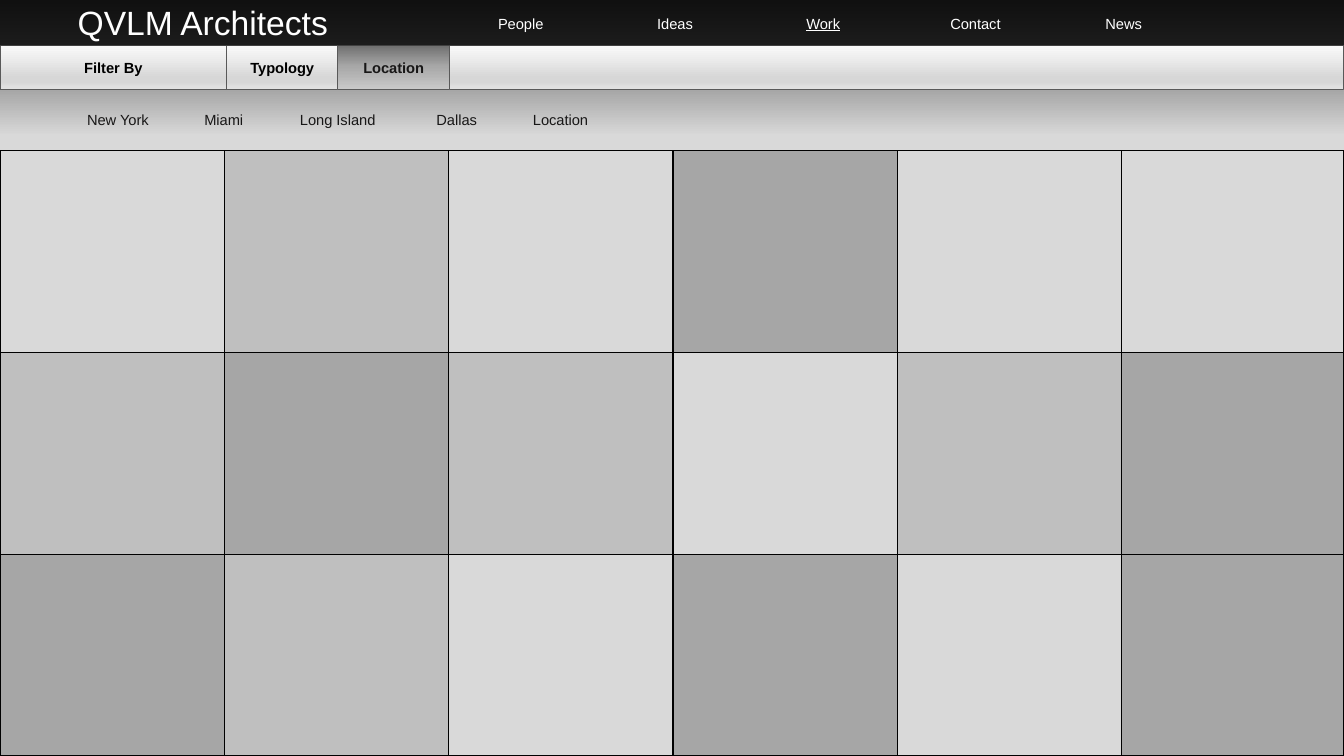
from lxml.etree import SubElement
from pptx import Presentation
from pptx.dml.color import RGBColor
from pptx.enum.shapes import MSO_SHAPE as Preset
from pptx.enum.text import MSO_ANCHOR as Anchor, MSO_AUTO_SIZE as AutoSize, PP_ALIGN as Align
from pptx.oxml.ns import qn
from pptx.util import Inches, Pt

BLACK = RGBColor(0x00, 0x00, 0x00)
INK = RGBColor(0x18, 0x17, 0x17)
WHITE = RGBColor(0xFF, 0xFF, 0xFF)
LIGHT = RGBColor(0xD9, 0xD9, 0xD9)
MIDDLE = RGBColor(0xBF, 0xBF, 0xBF)
DARK = RGBColor(0xA6, 0xA6, 0xA6)
BORDER = RGBColor(0x59, 0x59, 0x59)

PAGE = [(0, RGBColor(0x40, 0x40, 0x40)), (18, LIGHT), (100, WHITE)]
TAB = [(0, RGBColor(0xFA, 0xFA, 0xFA)), (74, RGBColor(0xD7, 0xD7, 0xD7)),
       (83, RGBColor(0xD7, 0xD7, 0xD7)), (100, RGBColor(0xE4, 0xE4, 0xE4))]
ACTIVE_TAB = [(0, RGBColor(0x6F, 0x6F, 0x6F)), (48, RGBColor(0xA8, 0xA8, 0xA8)),
              (100, RGBColor(0xC9, 0xC9, 0xC9))]

SLIDE_WIDTH, SLIDE_HEIGHT = 13.33, 7.5
BAR_HEIGHT, LABEL_HEIGHT = 0.45, 0.44
COLUMN, ROW = 2.225, 2.005
GRID_TOP = 1.49
TILES = [
    [LIGHT, MIDDLE, LIGHT, DARK, LIGHT, LIGHT],
    [MIDDLE, DARK, MIDDLE, LIGHT, MIDDLE, DARK],
    [DARK, MIDDLE, LIGHT, DARK, LIGHT, DARK],
]
TABS = [("", 4.46, 8.87, TAB, BLACK), ("Location", 3.35, 1.11, ACTIVE_TAB, INK),
        ("Filter By", 0, 2.25, TAB, BLACK), ("Typology", 2.25, 1.1, TAB, BLACK)]
PLACES = {"New York": 0.62, "Miami": 1.67, "Long Island": 2.8, "Dallas": 3.98, "Location": 5.01}
MENU = {"People": 4.67, "Ideas": 6.2, "Work": 7.67, "Contact": 9.18, "News": 10.65}


def set_gradient(fill, owner, stops):
    """Fill from top to bottom with (percent, colour) stops."""
    fill.gradient()
    fill.gradient_angle = 270
    stop_list = owner.find(".//" + qn("a:gsLst"))
    for stop in list(stop_list):
        stop_list.remove(stop)
    for percent, color in stops:
        stop = SubElement(stop_list, qn("a:gs"), pos=str(percent * 1000))
        SubElement(stop, qn("a:srgbClr"), val=str(color))


def write(shape, text, align=Align.CENTER, anchor=Anchor.MIDDLE, **font):
    """Put one formatted paragraph in a shape."""
    frame = shape.text_frame
    frame.word_wrap = True
    frame.auto_size = AutoSize.NONE
    frame.vertical_anchor = anchor
    paragraph = frame.paragraphs[0]
    paragraph.alignment = align
    run = paragraph.add_run()
    run.text = text
    color = font.pop("color")
    for name, value in {"name": "Arial", "size": Pt(10.5), **font}.items():
        setattr(run.font, name, value)
    run.font.color.rgb = color


def add_box(slide, left, top, width, height, fill, line=None, weight=1):
    """Add a rectangle with a solid or gradient fill."""
    shape = slide.shapes.add_shape(Preset.RECTANGLE, *map(Inches, (left, top, width, height)))
    shape.shadow.inherit = False
    if isinstance(fill, list):
        set_gradient(shape.fill, shape.element, fill)
    else:
        shape.fill.solid()
        shape.fill.fore_color.rgb = fill
    if line is None:
        shape.line.fill.background()
    else:
        shape.line.color.rgb = line
        shape.line.width = Pt(weight)
    return shape


def add_label(slide, text, left, top, width, **font):
    """Add a centred text label."""
    box = slide.shapes.add_textbox(*map(Inches, (left, top, width, LABEL_HEIGHT)))
    write(box, text, **font)


def add_tiles(slide):
    """Lay the project tiles out on the grid."""
    for row, colors in enumerate(TILES):
        for column, color in enumerate(colors):
            left, top = column * COLUMN, GRID_TOP + row * ROW
            width = min(COLUMN, SLIDE_WIDTH - left)
            height = min(ROW, SLIDE_HEIGHT - top)
            add_box(slide, left, top, width, height, color, BLACK)


def add_header(slide):
    """Add the dark bar with the site name and menu."""
    bar = add_box(slide, 0, 0, SLIDE_WIDTH, BAR_HEIGHT, BLACK)
    SubElement(bar.element.spPr.find(".//" + qn("a:srgbClr")), qn("a:alpha"), val="75000")
    for text, left in MENU.items():
        add_label(slide, text, left, 0.01, 0.99, color=WHITE, underline=text == "Work")
    title = slide.shapes.title
    title.left, title.top, title.width, title.height = map(Inches, (0.67, -0.03, 3.78, 0.5))
    write(title, "QVLM Architects", Align.LEFT, Anchor.TOP, size=Pt(24), color=WHITE)
    title.element.getparent().append(title.element)


def main():
    """Build and save the slide."""
    presentation = Presentation()
    presentation.slide_width = Inches(SLIDE_WIDTH)
    presentation.slide_height = Inches(SLIDE_HEIGHT)
    slide = presentation.slides.add_slide(presentation.slide_layouts[5])
    set_gradient(slide.background.fill, slide.element, PAGE)
    add_tiles(slide)
    for text, left, width, fill, color in TABS:
        tab = add_box(slide, left, BAR_HEIGHT, width, LABEL_HEIGHT, fill, BORDER, 0.75)
        if text:
            write(tab, text, color=color, bold=True)
    for text, left in PLACES.items():
        add_label(slide, text, left, 0.97, 1.1, color=INK)
    add_header(slide)
    presentation.save("out.pptx")


if __name__ == "__main__":
    main()
